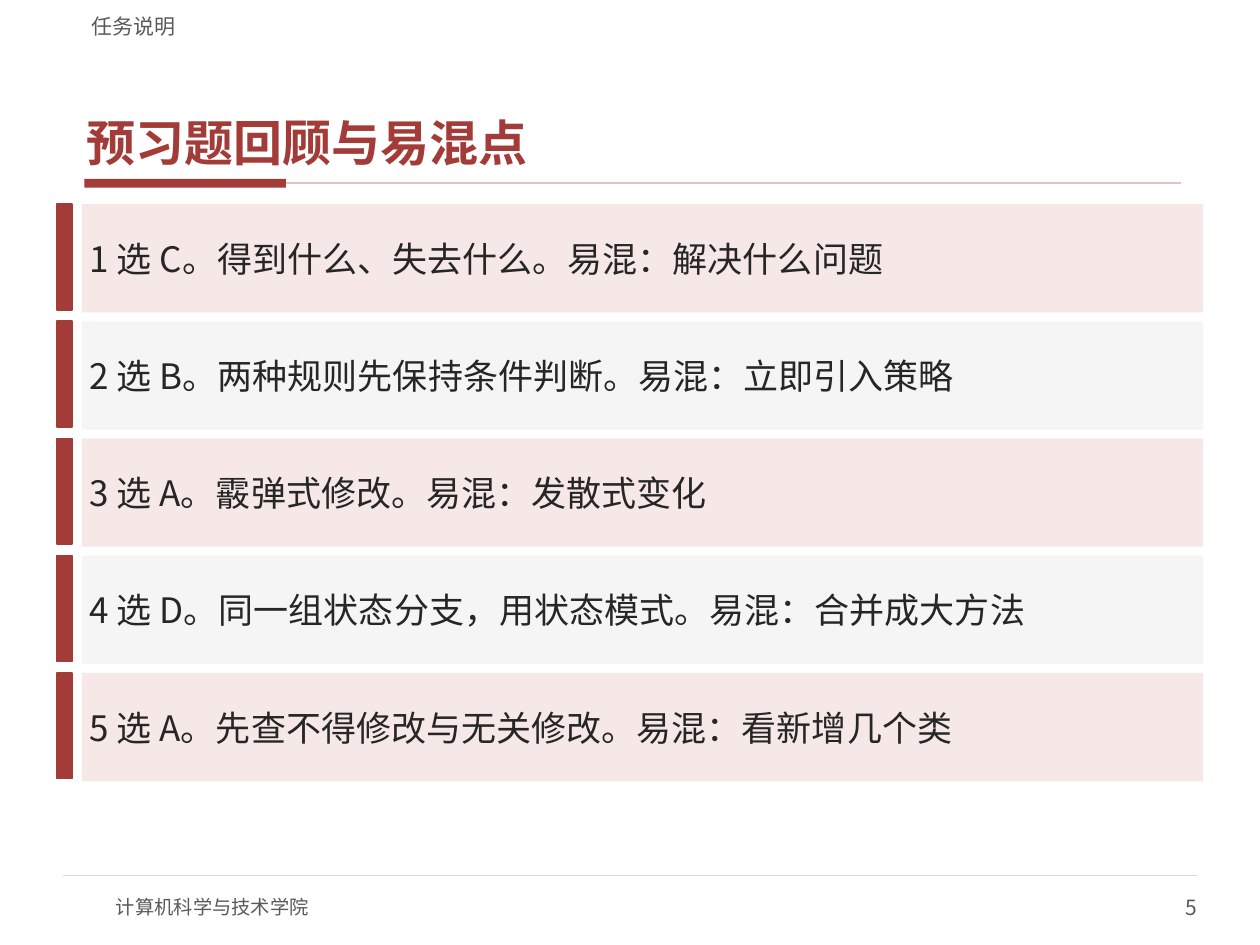
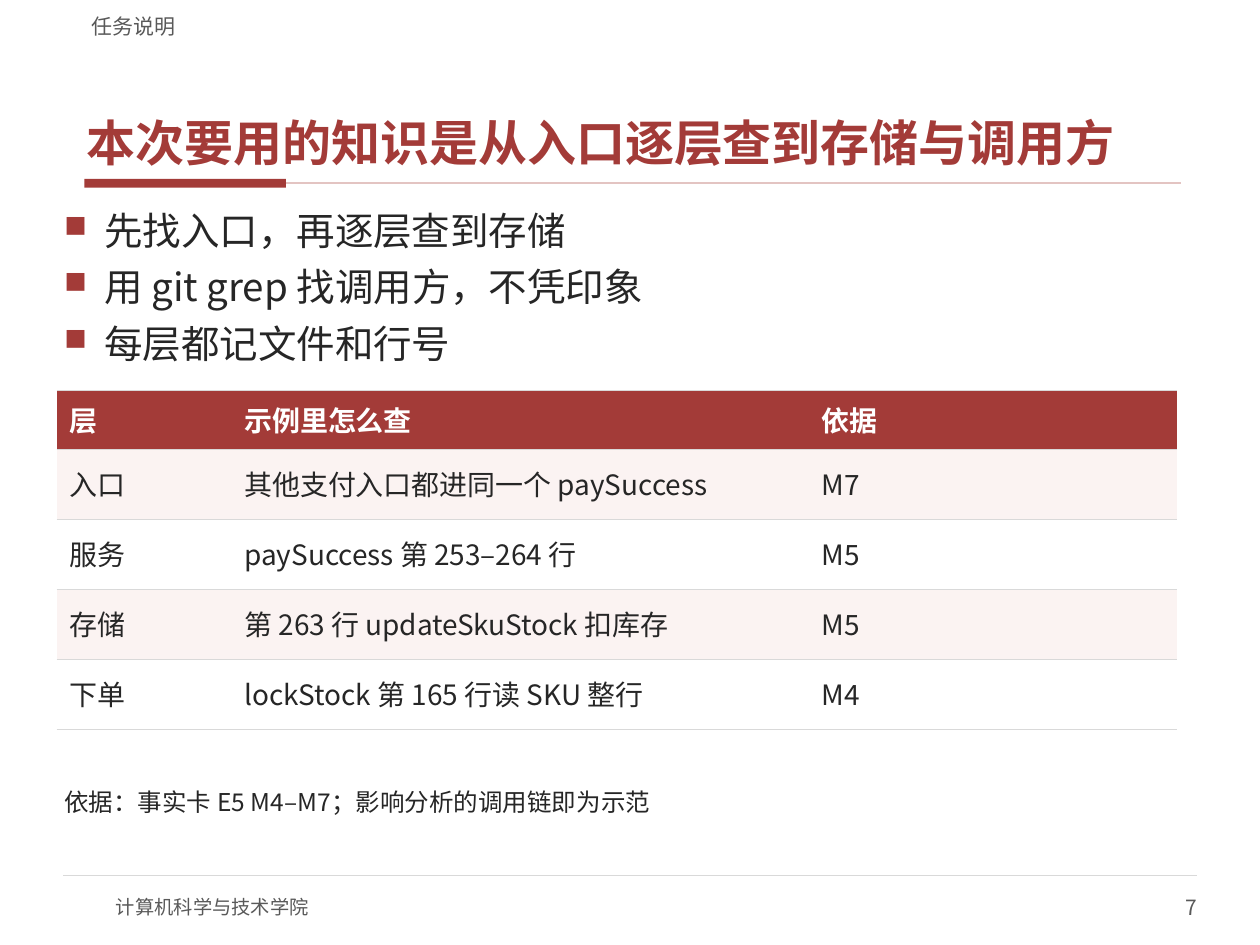
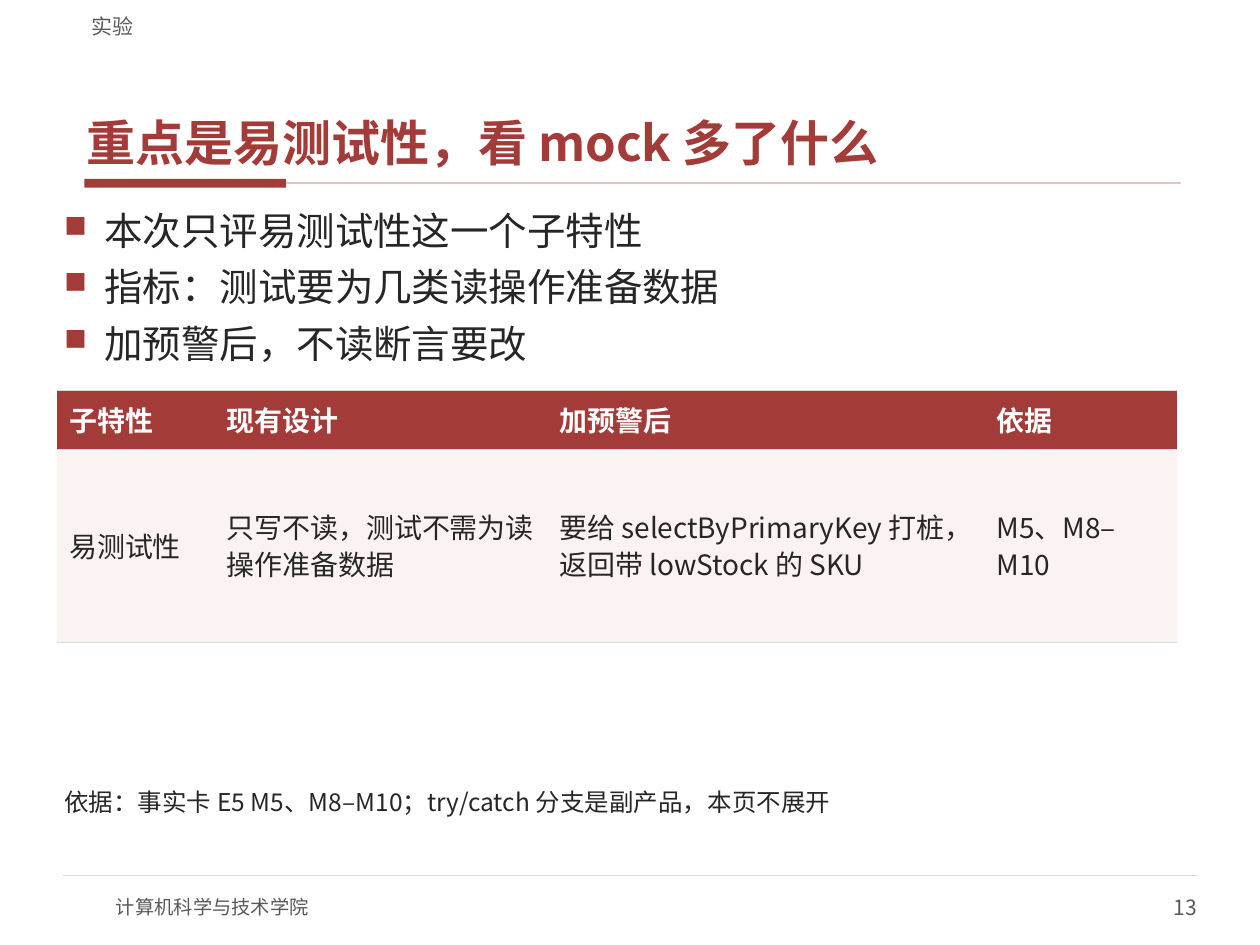
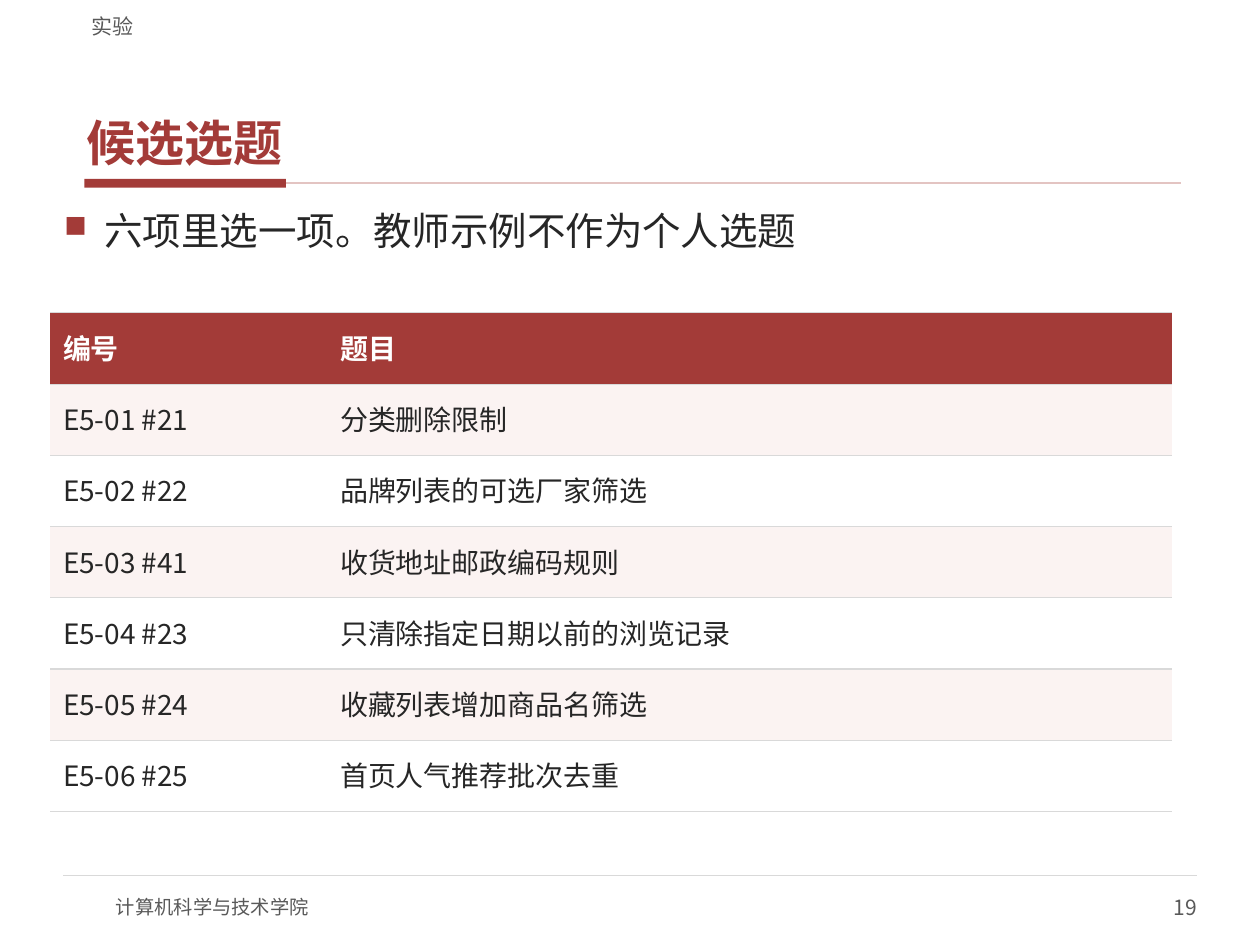
from lxml import etree
from pptx import Presentation
from pptx.dml.color import RGBColor
from pptx.enum.shapes import MSO_CONNECTOR, MSO_SHAPE
from pptx.enum.text import MSO_ANCHOR, MSO_AUTO_SIZE, PP_ALIGN
from pptx.oxml.ns import qn
from pptx.util import Inches, Pt

RED = RGBColor(0xA3, 0x3B, 0x38)
ROSE_LINE = RGBColor(0xE3, 0xC4, 0xC2)
ROSE_BAND = RGBColor(0xF6, 0xE8, 0xE6)
ROSE_ROW = RGBColor(0xFB, 0xF3, 0xF2)
GRAY_LINE = RGBColor(0xD9, 0xD9, 0xD9)
GRAY_BAND = RGBColor(0xF5, 0xF5, 0xF5)
GRAY_TEXT = RGBColor(0x59, 0x59, 0x59)
INK = RGBColor(0x26, 0x26, 0x26)
WHITE = RGBColor(0xFF, 0xFF, 0xFF)

FONT = "Noto Sans CJK SC"
SCHOOL = "计算机科学与技术学院"
TITLE_ONLY = 5
RIGHT_SIDE = 3

RECT = MSO_SHAPE.RECTANGLE
STRAIGHT = MSO_CONNECTOR.STRAIGHT
TOP, MIDDLE, BOTTOM = MSO_ANCHOR.TOP, MSO_ANCHOR.MIDDLE, MSO_ANCHOR.BOTTOM
LEFT, RIGHT = PP_ALIGN.LEFT, PP_ALIGN.RIGHT
NO_AUTOFIT = MSO_AUTO_SIZE.NONE

BODY_INSETS = (0.06, 0.02)
TITLE_BOX = (0.63, 0.33, 8.75, 1.05)
BANDS_BOX = (0.45, 1.62, 9.1, 4.58)
NOTE_BOX = (0.45, 6.23, 9.1, 0.5)


# Shared helpers
def inches(box):
    return [Inches(length) for length in box]


def sub(parent, tag, **attributes):
    return etree.SubElement(parent, qn(tag), attributes)


def style(paragraph, size, color, bold=False, align=LEFT):
    paragraph.alignment = align
    for run in paragraph.runs:
        font = run.font
        font.name, font.size, font.bold = FONT, Pt(size), bold
        font.color.rgb = color
        sub(run.font._element, "a:ea", typeface=FONT)


def set_frame(frame, insets, anchor):
    frame.word_wrap = True
    frame.auto_size = NO_AUTOFIT
    frame.vertical_anchor = anchor
    frame.margin_left = frame.margin_right = Inches(insets[0])
    frame.margin_top = frame.margin_bottom = Inches(insets[1])


def add_text(slide, box, text, size, color, insets=(0, 0), anchor=MIDDLE, align=LEFT):
    frame = slide.shapes.add_textbox(*inches(box)).text_frame
    set_frame(frame, insets, anchor)
    frame.text = text
    for paragraph in frame.paragraphs:
        style(paragraph, size, color, align=align)
    return frame


def add_rect(slide, box, fill, outline=None):
    rect = slide.shapes.add_shape(RECT, *inches(box))
    rect.shadow.inherit = False
    rect.fill.solid()
    rect.fill.fore_color.rgb = fill
    if outline is None:
        rect.line.fill.background()
    else:
        rect.line.color.rgb = outline
        rect.line.width = Pt(1)
    return rect


def add_rule(slide, left, right, y, color, width):
    rule = slide.shapes.add_connector(STRAIGHT, *inches((left, y, right, y)))
    rule.line.color.rgb = color
    rule.line.width = Pt(width)
    sub(rule._element.spPr, "a:effectLst")
    return rule


# Title, rules, section label and footer of every slide
def add_page(deck, section, title, number):
    slide = deck.slides.add_slide(deck.slide_layouts[TITLE_ONLY])
    accent = add_rect(slide, (0.67, 1.42, 1.6, 0.07), RED)
    underline = add_rule(slide, 2.27, 9.37, 1.455, ROSE_LINE, 1)
    underline.begin_connect(accent, RIGHT_SIDE)

    add_rule(slide, 0.5, 9.5, 6.95, GRAY_LINE, 0.75)
    add_text(slide, (0.92, 7, 4, 0.4), SCHOOL, 11, GRAY_TEXT)
    add_text(slide, (7.5, 7, 2, 0.4), str(number), 12, GRAY_TEXT, align=RIGHT)
    add_text(slide, (0.63, 0.04, 8.75, 0.27), section, 12, GRAY_TEXT, (0.1, 0), BOTTOM)

    heading = slide.shapes.title
    heading.left, heading.top, heading.width, heading.height = inches(TITLE_BOX)
    set_frame(heading.text_frame, BODY_INSETS, BOTTOM)
    heading.text_frame.text = title
    paragraph = heading.text_frame.paragraphs[0]
    paragraph.space_before, paragraph.space_after = Pt(0), Pt(2)
    style(paragraph, 28, RED, bold=True)
    return slide


# Answer bands with a red marker, in alternating tints
def add_bands(slide, box, answers):
    left, top, width, height = box
    gap, indent = 0.07, 0.2
    band_height = (height - gap * (len(answers) - 1)) / len(answers)
    for i, answer in enumerate(answers):
        y = top + i * (band_height + gap)
        add_rect(slide, (left, y, 0.12, band_height - 0.02), RED, RED)
        band = add_rect(slide, (left + indent, y, width - indent, band_height),
                        GRAY_BAND if i % 2 else ROSE_BAND)
        set_frame(band.text_frame, (0.06, 0.03), MIDDLE)
        band.text_frame.text = answer
        style(band.text_frame.paragraphs[0], 20, INK)


# Key points with square red bullets
def add_points(slide, box, points):
    frame = add_text(slide, box, "\n".join(points), 22, INK, BODY_INSETS, TOP)
    for i, paragraph in enumerate(frame.paragraphs):
        pPr = paragraph._p.get_or_add_pPr()
        pPr.set("marL", str(Inches(0.32)))
        pPr.set("indent", str(-Inches(0.32)))
        sub(sub(pPr, "a:buClr"), "a:srgbClr", val=str(RED))
        sub(pPr, "a:buSzPct", val="80000")
        sub(pPr, "a:buChar", char="■")
        paragraph.space_before = Pt(4 if i else 0)
        paragraph.space_after = Pt(2)


def add_cell_borders(cell):
    tcPr = cell._tc.get_or_add_tcPr()
    for side in ("a:lnL", "a:lnR"):
        sub(sub(tcPr, side, w="0"), "a:noFill")
    for side in ("a:lnT", "a:lnB"):
        line = sub(tcPr, side, w=str(Pt(0.75)))
        sub(sub(line, "a:solidFill"), "a:srgbClr", val=str(GRAY_LINE))


# Table with a red header and tinted odd rows
def add_grid(slide, box, header_height, widths, rows):
    height = box[3]
    table = slide.shapes.add_table(len(rows), len(widths), *inches(box)).table
    for column, width in zip(table.columns, widths):
        column.width = Inches(width)
    for r, texts in enumerate(rows):
        is_header = r == 0
        table.rows[r].height = Inches(
            header_height if is_header else (height - header_height) / (len(rows) - 1))
        fill = RED if is_header else ROSE_ROW if r % 2 else WHITE
        for c, text in enumerate(texts):
            cell = table.cell(r, c)
            add_cell_borders(cell)
            cell.fill.solid()
            cell.fill.fore_color.rgb = fill
            cell.vertical_anchor = MIDDLE
            cell.text = text
            paragraph = cell.text_frame.paragraphs[0]
            paragraph.line_spacing = 0.9
            paragraph.space_after = Pt(2)
            style(paragraph, 16, WHITE if is_header else INK, bold=is_header)


def add_note(slide, box, note):
    frame = add_text(slide, box, note, 14, INK, BODY_INSETS, TOP)
    frame.paragraphs[0].space_after = Pt(2)


# Slides
def build_review(deck):
    slide = add_page(deck, "任务说明", "预习题回顾与易混点", 5)
    add_bands(slide, BANDS_BOX, [
        "1 选 C。得到什么、失去什么。易混：解决什么问题",
        "2 选 B。两种规则先保持条件判断。易混：立即引入策略",
        "3 选 A。霰弹式修改。易混：发散式变化",
        "4 选 D。同一组状态分支，用状态模式。易混：合并成大方法",
        "5 选 A。先查不得修改与无关修改。易混：看新增几个类",
    ])


def build_evidence(deck, page, points, table_height, widths, rows, note):
    slide = add_page(deck, *page)
    add_points(slide, (0.45, 1.62, 9.1, 1.37), points)
    add_grid(slide, (0.45, 3.1, 8.89, table_height), 0.47, widths, rows)
    add_note(slide, NOTE_BOX, note)


def build_topics(deck):
    slide = add_page(deck, "实验", "候选选题", 19)
    add_points(slide, (0.45, 1.62, 9.1, 0.78), ["六项里选一项。教师示例不作为个人选题"])
    add_grid(slide, (0.4, 2.48, 8.9, 3.96), 0.57, (2.2, 6.7), [
        ("编号", "题目"),
        ("E5-01 #21", "分类删除限制"),
        ("E5-02 #22", "品牌列表的可选厂家筛选"),
        ("E5-03 #41", "收货地址邮政编码规则"),
        ("E5-04 #23", "只清除指定日期以前的浏览记录"),
        ("E5-05 #24", "收藏列表增加商品名筛选"),
        ("E5-06 #25", "首页人气推荐批次去重"),
    ])


def main():
    deck = Presentation()
    deck.slide_width, deck.slide_height = Inches(10), Inches(7.5)
    build_review(deck)
    build_evidence(
        deck, ("任务说明", "本次要用的知识是从入口逐层查到存储与调用方", 7),
        ["先找入口，再逐层查到存储", "用 git grep 找调用方，不凭印象", "每层都记文件和行号"],
        2.69, (1.39, 4.58, 2.92), [
            ("层", "示例里怎么查", "依据"),
            ("入口", "其他支付入口都进同一个 paySuccess", "M7"),
            ("服务", "paySuccess 第 253–264 行", "M5"),
            ("存储", "第 263 行 updateSkuStock 扣库存", "M5"),
            ("下单", "lockStock 第 165 行读 SKU 整行", "M4"),
        ],
        "依据：事实卡 E5 M4–M7；影响分析的调用链即为示范")
    build_evidence(
        deck, ("实验", "重点是易测试性，看 mock 多了什么", 13),
        ["本次只评易测试性这一个子特性", "指标：测试要为几类读操作准备数据", "加预警后，不读断言要改"],
        2, (1.25, 2.64, 3.47, 1.53), [
            ("子特性", "现有设计", "加预警后", "依据"),
            ("易测试性", "只写不读，测试不需为读操作准备数据",
             "要给 selectByPrimaryKey 打桩，返回带 lowStock 的 SKU", "M5、M8–M10"),
        ],
        "依据：事实卡 E5 M5、M8–M10；try/catch 分支是副产品，本页不展开")
    build_topics(deck)
    deck.save("out.pptx")


if __name__ == "__main__":
    main()
